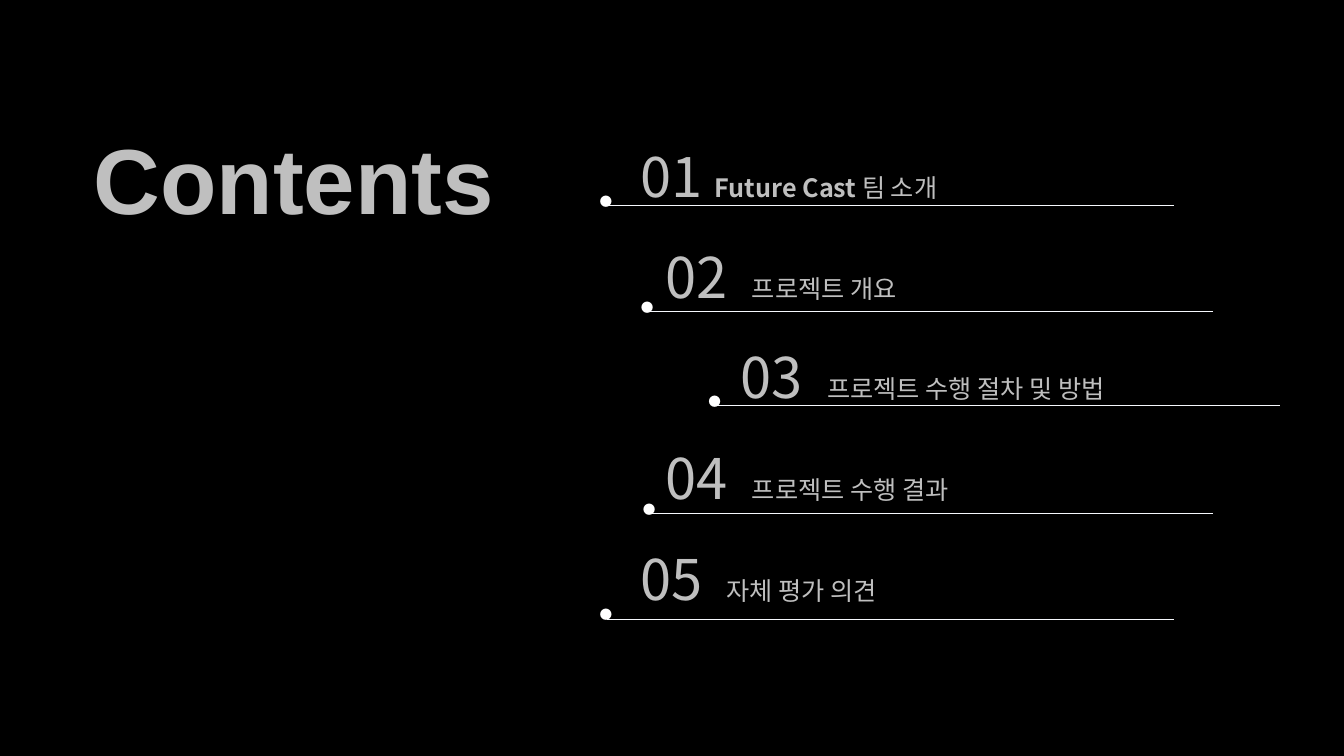
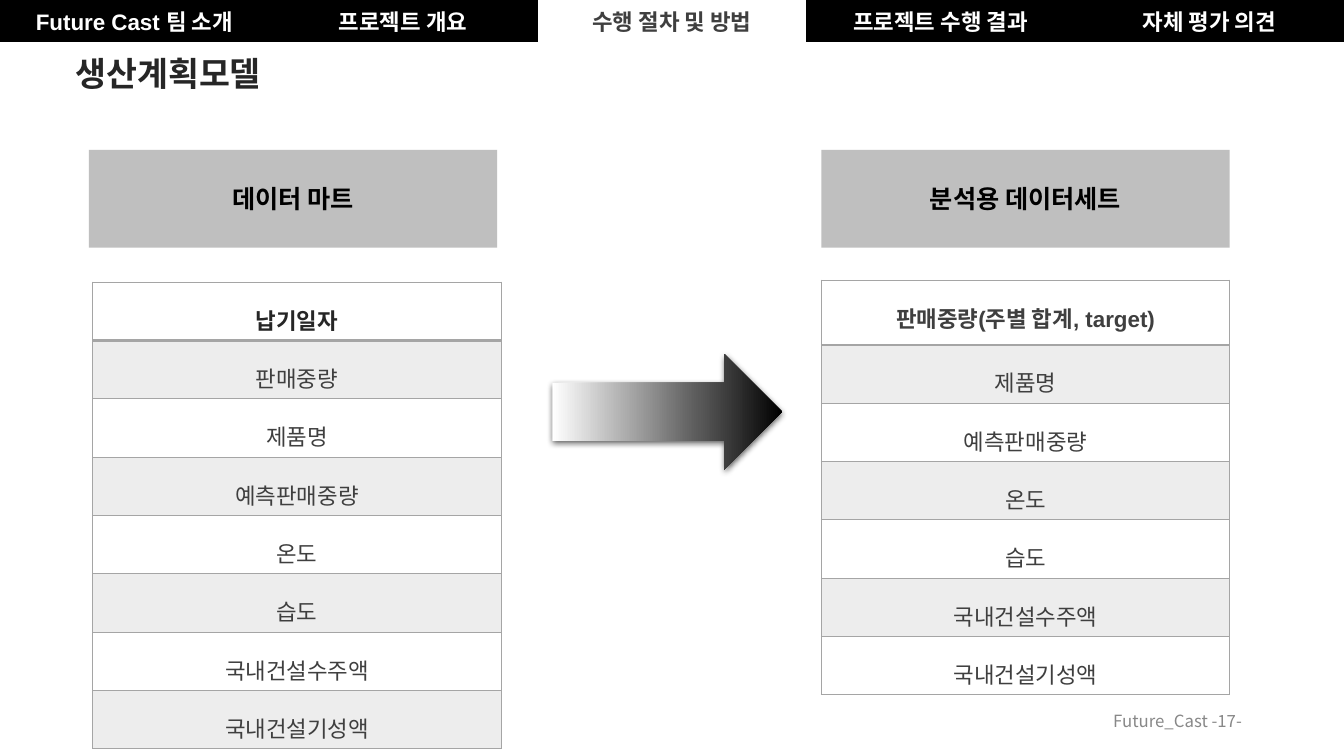
from dataclasses import dataclass

from lxml.etree import SubElement
from pptx import Presentation
from pptx.dml.color import RGBColor
from pptx.enum.shapes import MSO_CONNECTOR, MSO_SHAPE
from pptx.enum.text import MSO_ANCHOR, MSO_AUTO_SIZE, PP_ALIGN
from pptx.oxml.ns import qn
from pptx.util import Cm, Pt

# Shared look
ARIAL, NOTO = "Arial", "Noto Sans CJK KR"
BLACK, WHITE, SILVER, GREY = "000000", "FFFFFF", "BFBFBF", "A5A5A5"
INK, DARK, MUTED, RULE = "262626", "3F3F3F", "888888", "F5F7FC"
WIDTH, HEIGHT = 33.87, 19.05
NO_STYLE = "{2D5ABB26-0587-4C30-8999-92F81FD0307C}"


@dataclass
class Style:
    size: float
    color: str
    font: str = NOTO
    bold: bool = False
    align: PP_ALIGN = PP_ALIGN.LEFT
    spacing: float | None = None


@dataclass
class Entry:
    number: str
    title: str
    indent: float
    line_x: float
    line_y: float
    dot_x: float
    lead: str = ""
    gap: float = 2.18


@dataclass
class Panel:
    heading: str
    x: float
    table_x: float
    table_y: float
    head_height: float
    head_color: str
    fields: list[str]


ENTRIES = [
    Entry("01", " 팀 소개", 0, 15.29, 5.18, 14.86, "Future Cast", 1.88),
    Entry("02", "프로젝트 개요", 0.64, 16.28, 7.85, 15.9),
    Entry("03", "프로젝트 수행 절차 및 방법", 2.54, 17.96, 10.21, 17.6),
    Entry("04", "프로젝트 수행 결과", 0.64, 16.28, 12.93, 15.95),
    Entry("05", "자체 평가 의견", 0, 15.29, 15.6, 14.86),
]
SECTIONS = ["Future Cast 팀 소개", "프로젝트 개요", "수행 절차 및 방법",
            "프로젝트 수행 결과", "자체 평가 의견"]
COMMON = ["온도", "습도", "국내건설수주액", "국내건설기성액"]
PANELS = [
    Panel("데이터 마트", 2.24, 2.34, 7.11, 1.47, INK,
          ["납기일자", "판매중량", "제품명", "예측판매중량", *COMMON]),
    Panel("분석용 데이터세트", 20.7, 20.7, 7.06, 1.63, DARK,
          ["판매중량(주별 합계, target)", "제품명", "예측판매중량", *COMMON]),
]


def rgb(color: str) -> RGBColor:
    return RGBColor.from_string(color)


def style_paragraph(p, style: Style) -> None:
    p.alignment = style.align
    if style.spacing:
        p.line_spacing = style.spacing
    f = p.font
    f.size, f.bold, f.name = Pt(style.size), style.bold, style.font
    f.color.rgb = rgb(style.color)
    SubElement(f._element, qn("a:ea"), typeface=NOTO)


def write(tf, text: str, style: Style) -> None:
    p = tf.paragraphs[0]
    p.add_run().text = text
    style_paragraph(p, style)


def add_box(s, x: float, y: float, w: float, h: float):
    tf = s.shapes.add_textbox(Cm(x), Cm(y), Cm(w), Cm(h)).text_frame
    tf.word_wrap = True
    return tf


def add_label(s, text: str, x: float, y: float, w: float, h: float,
              style: Style) -> None:
    tf = add_box(s, x, y, w, h)
    tf.auto_size = MSO_AUTO_SIZE.SHAPE_TO_FIT_TEXT
    write(tf, text, style)


def add_slide(prs, background: str):
    s = prs.slides.add_slide(prs.slide_layouts[6])
    s.background.fill.solid()
    s.background.fill.fore_color.rgb = rgb(background)
    return s


def add_plain_shape(s, kind, x: float, y: float, w: float, h: float):
    sp = s.shapes.add_shape(kind, Cm(x), Cm(y), Cm(w), Cm(h))
    sp.shadow.inherit = False
    sp.line.fill.background()
    return sp


def add_grid(s, x: float, y: float, widths: list[float], heights: list[float]):
    frame = s.shapes.add_table(len(heights), len(widths), Cm(x), Cm(y),
                               Cm(sum(widths)), Cm(sum(heights)))
    table = frame.table
    table.first_row = table.horz_banding = False
    table._tbl.tblPr.find(qn("a:tableStyleId")).text = NO_STYLE
    for column, w in zip(table.columns, widths):
        column.width = Cm(w)
    for row, h in zip(table.rows, heights):
        row.height = Cm(h)
    return table


def add_color(parent, color: str, alpha: int = 100) -> None:
    clr = SubElement(parent, qn("a:srgbClr"), val=color)
    if alpha < 100:
        SubElement(clr, qn("a:alpha"), val=str(alpha * 1000))


def set_borders(cell, bottom: float) -> None:
    tc_pr = cell._tc.get_or_add_tcPr()
    for side, width in (("L", 1), ("R", 1), ("T", 1), ("B", bottom)):
        ln = SubElement(tc_pr, qn(f"a:ln{side}"), w=str(Pt(width)))
        add_color(SubElement(ln, qn("a:solidFill")), GREY)


def add_entry_text(p, entry: Entry) -> None:
    stops = [entry.indent] if entry.indent else []
    stops.append(entry.indent + entry.gap)
    tabs = SubElement(p._p.get_or_add_pPr(), qn("a:tabLst"))
    for stop in stops:
        SubElement(tabs, qn("a:tab"), pos=str(Cm(stop)), algn="l")
    r = p.add_run()
    r.text = ("\t" if entry.indent else "") + entry.number + "\t"
    r.font.size = Pt(40)
    if entry.lead:
        r = p.add_run()
        r.text = entry.lead
        r.font.bold = True
    p.add_run().text = entry.title
    style_paragraph(p, Style(18, SILVER))
    p.line_spacing = Pt(72)


def add_rule(s, entry: Entry) -> None:
    x, y = Cm(entry.line_x), Cm(entry.line_y)
    line = s.shapes.add_connector(MSO_CONNECTOR.STRAIGHT, x, y, x + Cm(14.3), y)
    line.line.color.rgb = rgb(RULE)
    line.line.width = Pt(0.75)
    SubElement(line._element.spPr, qn("a:effectLst"))
    add_label(s, "●", entry.dot_x, entry.line_y - 0.42, 0.84, 0.64,
              Style(9, WHITE))


def add_navigation(s, current: int) -> None:
    table = add_grid(s, 0, 0, [WIDTH / len(SECTIONS)] * len(SECTIONS), [1.06])
    for i, section in enumerate(SECTIONS):
        fill, color = (WHITE, DARK) if i == current else (BLACK, WHITE)
        cell = table.cell(0, i)
        cell.fill.solid()
        cell.fill.fore_color.rgb = rgb(fill)
        write(cell.text_frame, section,
              Style(16, color, ARIAL, True, PP_ALIGN.CENTER))


def add_panel(s, panel: Panel) -> None:
    sp = add_plain_shape(s, MSO_SHAPE.RECTANGLE, panel.x, 3.78, 10.29, 2.46)
    sp.fill.solid()
    sp.fill.fore_color.rgb = rgb(SILVER)
    sp.text_frame.vertical_anchor = MSO_ANCHOR.MIDDLE
    write(sp.text_frame, panel.heading,
          Style(18, BLACK, bold=True, align=PP_ALIGN.CENTER))

    heights = [panel.head_height] + [1.47] * (len(panel.fields) - 1)
    table = add_grid(s, panel.table_x, panel.table_y, [10.29], heights)
    for i, field in enumerate(panel.fields):
        cell, head = table.cell(i, 0), i == 0
        color = panel.head_color if head else DARK
        write(cell.text_frame, field,
              Style(16, color, ARIAL, head, PP_ALIGN.CENTER, 1.5))
        set_borders(cell, 2 if head else 1)
        if i % 2:
            fill = SubElement(cell._tc.get_or_add_tcPr(), qn("a:solidFill"))
            add_color(fill, GREY, 20)
        else:
            cell.fill.background()


def add_flow_arrow(s) -> None:
    sp = add_plain_shape(s, MSO_SHAPE.RIGHT_ARROW, 13.92, 8.92, 5.79, 2.92)
    sp.fill.gradient()
    sp.fill.gradient_angle = 0
    sp_pr = sp._element.spPr
    stops = sp_pr.find(qn("a:gradFill")).find(qn("a:gsLst"))
    for stop in list(stops):
        stops.remove(stop)
    for position, color in ((0, WHITE), (64, "595959"), (100, BLACK)):
        add_color(SubElement(stops, qn("a:gs"), pos=str(position * 1000)), color)
    shadow = SubElement(sp_pr.find(qn("a:effectLst")), qn("a:outerShdw"),
                        blurRad=str(Pt(4.5)), dist=str(Pt(1.5)),
                        dir="5400000", rotWithShape="0")
    add_color(shadow, BLACK, 63)


def build_contents(prs) -> None:
    s = add_slide(prs, BLACK)
    add_label(s, "Contents", 2.11, 2.95, 10.72, 3.07,
              Style(66, SILVER, ARIAL, True))
    tf = add_box(s, 15.88, 2.59, 13.11, 12.95)
    for i, entry in enumerate(ENTRIES):
        add_entry_text(tf.add_paragraph() if i else tf.paragraphs[0], entry)
    for entry in ENTRIES:
        add_rule(s, entry)


def build_model(prs) -> None:
    s = add_slide(prs, WHITE)
    # Footer
    tf = add_box(s, 23.93, 17.65, 7.62, 1.02)
    tf.vertical_anchor = MSO_ANCHOR.MIDDLE
    write(tf, "Future_Cast -17-", Style(12, MUTED, align=PP_ALIGN.RIGHT))
    # Data panels and the arrow between them
    for panel in PANELS:
        add_panel(s, panel)
    add_flow_arrow(s)
    # Section bar and title
    add_navigation(s, 2)
    add_label(s, "생산계획모델", 1.65, 1.22, 6, 1.27, Style(24, INK, bold=True))


def main() -> None:
    prs = Presentation()
    prs.slide_width, prs.slide_height = Cm(WIDTH), Cm(HEIGHT)
    build_contents(prs)
    build_model(prs)
    prs.save("out.pptx")


if __name__ == "__main__":
    main()
